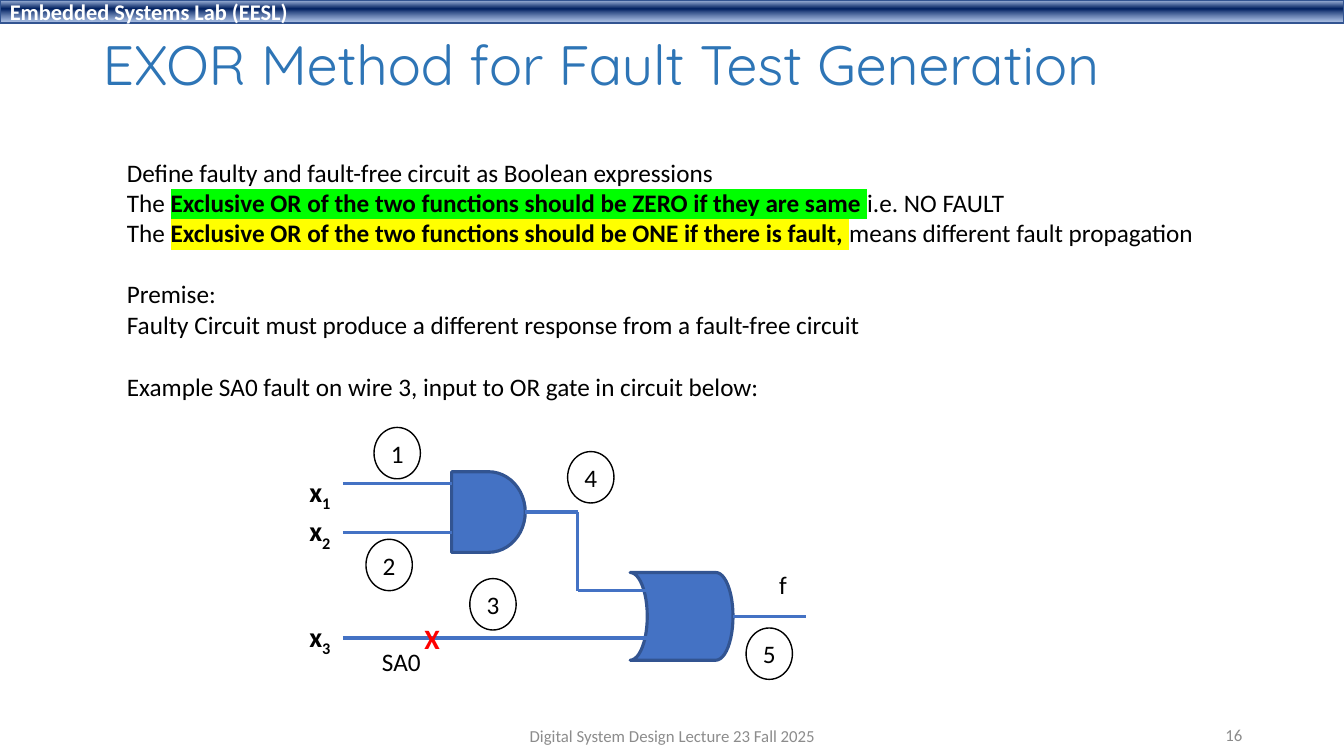
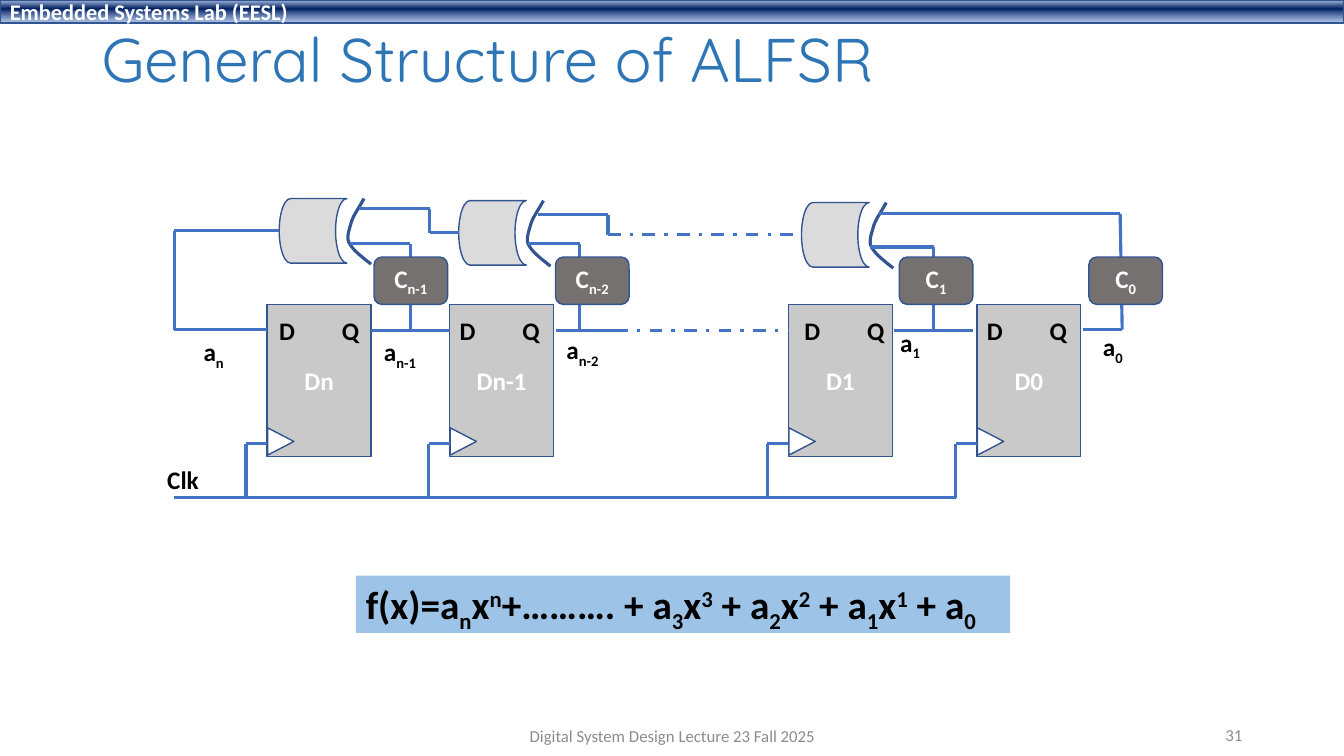
from dataclasses import dataclass

from lxml.etree import SubElement
from pptx import Presentation
from pptx.dml.color import RGBColor
from pptx.enum.dml import MSO_LINE
from pptx.enum.shapes import MSO_CONNECTOR, MSO_SHAPE
from pptx.enum.text import MSO_ANCHOR, PP_ALIGN
from pptx.oxml.ns import qn
from pptx.util import Inches, Pt

COLORS = {
    "title": "2E75B6", "text": "000000", "white": "FFFFFF", "footer": "8C8C8C",
    "wire": "4472C4", "edge": "325491", "gate": "4472C4", "xor": "DBDBDB",
    "flipflop": "C9C9C9", "coefficient": "767171", "formula": "9DC3E6",
    "fault": "FF0000", "same": "00FF00", "different": "FFFF00",
}
BAND_STOPS = [(2, "ABC0E4", 100), (38, "002060", 100), (93, "7E9ED6", 64)]
BODY_FONT, TITLE_FONT = "Calibri", "Quicksand"
SUBSCRIPT, SUPERSCRIPT = -25, 30
LEFT, CENTER, RIGHT = PP_ALIGN.LEFT, PP_ALIGN.CENTER, PP_ALIGN.RIGHT

# Bezier segments of an XOR gate's input arc, measured from the gate's corner
ARC_START = (0.84, 0)
ARC_SEGMENTS = [
    ((0.78, 0.11), (0.73, 0.17), (0.71, 0.25)),
    ((0.69, 0.32), (0.66, 0.40), (0.70, 0.45)),
    ((0.73, 0.51), (0.82, 0.58), (0.91, 0.65)),
]


@dataclass
class Run:
    text: str
    base: int = 0
    bold: bool = False
    highlight: str = ""


def color(name):
    return RGBColor.from_string(COLORS[name])


def indexed(letter, index):
    return [Run(letter), Run(index, SUBSCRIPT)]


def add_run(paragraph, run, size, ink, bold, font):
    part = paragraph.add_run()
    part.text = run.text
    part.font.size = Pt(size)
    part.font.name = font
    part.font.bold = bold or run.bold
    part.font.color.rgb = color(ink)
    properties = part.font._element
    if run.base:
        properties.set("baseline", str(run.base * 1000))
    if run.highlight:
        marker = SubElement(properties, qn("a:highlight"))
        SubElement(marker, qn("a:srgbClr"), val=COLORS[run.highlight])
        properties.find(qn("a:solidFill")).addnext(marker)


def write(shape, paragraphs, size=18, ink="text", bold=False, align=LEFT,
          anchor=MSO_ANCHOR.TOP, font=BODY_FONT, wrap=True):
    """Fill a shape with paragraphs, each a list of runs."""
    frame = shape.text_frame
    frame.word_wrap = wrap
    frame.vertical_anchor = anchor
    for number, runs in enumerate(paragraphs):
        paragraph = frame.add_paragraph() if number else frame.paragraphs[0]
        paragraph.alignment = align
        for run in runs:
            add_run(paragraph, run, size, ink, bold, font)
    return frame


def add_text(slide, box, paragraphs, **style):
    area = slide.shapes.add_textbox(*map(Inches, box))
    return write(area, paragraphs, **style)


def add_label(slide, box, runs, **style):
    add_text(slide, box, [runs], wrap=False, **style)


def add_box(slide, kind, box, fill=None, edge="edge", width=1):
    shape = slide.shapes.add_shape(kind, *map(Inches, box))
    shape.shadow.inherit = False
    if fill:
        shape.fill.solid()
        shape.fill.fore_color.rgb = color(fill)
    else:
        shape.fill.background()
    if edge:
        shape.line.color.rgb = color(edge)
        shape.line.width = Pt(width)
    else:
        shape.line.fill.background()
    return shape


def add_wire(slide, *points, dashed=False):
    """Join successive points with straight connectors and return them."""
    segments = []
    for start, end in zip(points, points[1:]):
        segment = slide.shapes.add_connector(
            MSO_CONNECTOR.STRAIGHT, *map(Inches, start + end))
        segment.line.color.rgb = color("wire")
        segment.line.width = Pt(2.25)
        if dashed:
            segment.line.dash_style = MSO_LINE.DASH_DOT
        SubElement(segment._element.spPr, qn("a:effectLst"))
        segments.append(segment)
    return segments


def add_band(slide):
    band = add_box(slide, MSO_SHAPE.RECTANGLE, (0, 0, 13.33, 0.23))
    band.fill.gradient()
    band.fill.gradient_angle = 270
    stops = band._element.spPr.find(qn("a:gradFill")).find(qn("a:gsLst"))
    for stop in list(stops):
        stops.remove(stop)
    for position, tint, opacity in BAND_STOPS:
        stop = SubElement(stops, qn("a:gs"), pos=str(position * 1000))
        shade = SubElement(stop, qn("a:srgbClr"), val=tint)
        if opacity < 100:
            SubElement(shade, qn("a:alpha"), val=str(opacity * 1000))
    write(band, [[Run("Embedded Systems Lab (EESL)")]], size=16, ink="white",
          bold=True, anchor=MSO_ANCHOR.MIDDLE)


def add_framed_slide(deck, title, title_box, title_size, number):
    """Add a slide with the band, title, footer and page number."""
    slide = deck.slides.add_slide(deck.slide_layouts[6])
    add_band(slide)
    heading = add_text(slide, title_box, [[Run(title)]], size=title_size,
                       ink="title", font=TITLE_FONT, anchor=MSO_ANCHOR.MIDDLE)
    heading.paragraphs[0].line_spacing = 0.9
    footers = [
        ((4.42, 7.1, 4.5, 0.4), "Digital System Design Lecture 23 Fall 2025", CENTER),
        ((9.42, 7.09, 3, 0.4), number, RIGHT),
    ]
    for box, words, align in footers:
        add_text(slide, box, [[Run(words)]], size=12, ink="footer",
                 align=align, anchor=MSO_ANCHOR.MIDDLE)
    return slide


def add_wire_number(slide, number, x, y):
    circle = add_box(slide, MSO_SHAPE.OVAL, (x, y, 0.46, 0.51), edge="text")
    write(circle, [[Run(number)]], align=CENTER, anchor=MSO_ANCHOR.MIDDLE,
          wrap=False)


def add_gate_circuit(slide):
    and_gate = add_box(slide, MSO_SHAPE.FLOWCHART_DELAY,
                       (4.48, 4.68, 0.73, 0.8), "gate", width=2.25)
    or_gate = add_box(slide, MSO_SHAPE.FLOWCHART_STORED_DATA,
                      (6.25, 5.68, 1.02, 0.87), "gate", width=2.25)
    or_gate._element.spPr.find(qn("a:xfrm")).set("flipH", "1")

    for y, end in [(4.8, 4.48), (5.28, 4.48), (6.33, 6.45)]:
        add_wire(slide, (3.4, y), (end, y))
    and_output = add_wire(slide, (5.21, 5.08), (5.73, 5.08), (5.73, 5.86),
                          (6.45, 5.86))
    and_output[0].begin_connect(and_gate, 3)
    add_wire(slide, (7.27, 6.12), (7.99, 6.12))

    for index, y in [("1", 4.66), ("2", 5.05), ("3", 6.1)]:
        add_label(slide, (2.97, y, 0.43, 0.4), indexed("x", index),
                  size=20, bold=True)
    for number, x, y in [("1", 3.71, 4.24), ("2", 3.63, 5.35), ("3", 4.66, 5.74),
                         ("4", 5.63, 4.48), ("5", 7.4, 6.23)]:
        add_wire_number(slide, number, x, y)
    add_label(slide, (4.11, 6.12, 0.37, 0.49), [Run("X")], size=20,
              ink="fault", bold=True)
    add_label(slide, (3.69, 6.36, 0.61, 0.45), [Run("SA0")])
    add_label(slide, (7.63, 5.6, 0.29, 0.45), [Run("f")])


def build_exor_slide(deck):
    slide = add_framed_slide(deck, "EXOR Method for Fault Test Generation",
                             (0.92, 0.29, 11.5, 0.77), 39.6, "16")
    same = "Exclusive OR of the two functions should be ZERO if they are same "
    different = "Exclusive OR of the two functions should be ONE if there is fault, "
    method = add_text(slide, (1.16, 1.51, 10.88, 1.92), [
        [Run("Define faulty and fault-free circuit as Boolean expressions")],
        [Run("The "), Run(same, bold=True, highlight="same"),
         Run("i.e. NO FAULT")],
        [Run("The "), Run(different, bold=True, highlight="different"),
         Run("means different fault propagation")],
        [Run("Premise:")],
        [Run("Faulty Circuit must produce a different response from a "
             "fault-free circuit")],
    ])
    method.paragraphs[3].space_before = Pt(22)
    add_text(slide, (1.16, 3.63, 6.55, 0.4), [
        [Run("Example SA0 fault on wire 3, input to OR gate in circuit below:")]])
    add_gate_circuit(slide)


def add_flipflop(slide, name, x, pins_x, bus_y):
    block = add_box(slide, MSO_SHAPE.RECTANGLE, (x, 3.02, 1.03, 1.51), "flipflop")
    write(block, [[Run(name)]], ink="white", bold=True, align=CENTER,
          anchor=MSO_ANCHOR.MIDDLE)
    clock_pin = add_box(slide, MSO_SHAPE.ISOSCELES_TRIANGLE,
                        (x, 4.25, 0.27, 0.26), "white")
    clock_pin.rotation = 90
    add_wire(slide, (x, 4.4), (x - 0.21, 4.4), (x - 0.21, bus_y))
    for pin, align in [("D", LEFT), ("Q", RIGHT)]:
        add_text(slide, (pins_x, 3.08, 0.99, 0.4), [[Run(pin)]], bold=True,
                 align=align)


def bezier(start, control1, control2, end, steps=8):
    """Return points along a cubic curve, without its start."""
    points = []
    for step in range(1, steps + 1):
        t = step / steps
        weights = ((1 - t) ** 3, 3 * t * (1 - t) ** 2, 3 * t * t * (1 - t), t ** 3)
        points.append(tuple(
            sum(weight * value for weight, value in zip(weights, axis))
            for axis in zip(start, control1, control2, end)))
    return points


def add_xor_gate(slide, x, y):
    body = add_box(slide, MSO_SHAPE.FLOWCHART_STORED_DATA, (x, y, 0.67, 0.64), "xor")
    curve = [ARC_START]
    for segment in ARC_SEGMENTS:
        curve += bezier(curve[-1], *segment)
    placed = [(Inches(x + dx), Inches(y + dy)) for dx, dy in curve]
    builder = slide.shapes.build_freeform(*placed[0])
    builder.add_line_segments(placed[1:], close=False)
    arc = builder.convert_to_shape()
    arc.shadow.inherit = False
    arc.fill.background()
    arc.line.color.rgb = color("edge")
    arc.line.width = Pt(2.25)
    return body


def add_coefficient(slide, index, x):
    block = add_box(slide, MSO_SHAPE.ROUNDED_RECTANGLE, (x, 2.55, 0.73, 0.47),
                    "coefficient")
    write(block, [indexed("C", index)], ink="white", bold=True, align=CENTER,
          anchor=MSO_ANCHOR.MIDDLE)


def add_shift_register(slide):
    bus_y = 4.94
    for name, x, pins_x in [("Dn", 2.65, 2.67), ("Dn-1", 4.46, 4.46),
                            ("D1", 7.82, 7.88), ("D0", 9.69, 9.69)]:
        add_flipflop(slide, name, x, pins_x, bus_y)
    add_wire(slide, (9.48, bus_y), (1.73, bus_y))
    add_label(slide, (1.56, 4.56, 0.52, 0.4), [Run("Clk")], bold=True)

    for start, end in [(3.68, 4.46), (5.51, 6.1), (8.87, 9.65)]:
        add_wire(slide, (start, 3.28), (end, 3.28))
    add_wire(slide, (6.1, 3.28), (7.82, 3.28), dashed=True)

    xor_n, xor_n1, xor_1 = [
        add_xor_gate(slide, x, y)
        for x, y in [(2.77, 1.97), (4.55, 1.99), (7.95, 2.01)]]
    feedback = add_wire(slide, (2.77, 2.29), (1.73, 2.29), (1.73, 3.27), (2.65, 3.27))
    feedback[0].begin_connect(xor_n, 1)
    link = add_wire(slide, (4.55, 2.31), (4.26, 2.31), (4.26, 2.07), (3.56, 2.07))
    link[0].begin_connect(xor_n1, 1)
    add_wire(slide, (6.03, 2.33), (6.03, 2.13), (5.34, 2.13))
    skipped = add_wire(slide, (6.03, 2.33), (7.95, 2.33), dashed=True)
    skipped[0].end_connect(xor_1, 1)
    for tap_x, gate_x, y in [(4.07, 3.47, 2.42), (5.75, 5.24, 2.42),
                             (9.26, 8.63, 2.45)]:
        add_wire(slide, (tap_x, 3.28), (tap_x, y), (gate_x, y))
    add_wire(slide, (10.74, 3.27), (11.13, 3.27), (11.11, 2.12), (8.72, 2.12))

    for index, x in [("n-1", 3.71), ("n-2", 5.51), ("1", 8.92), ("0", 10.8)]:
        add_coefficient(slide, index, x)
    for index, x, y, width in [("n", 1.92, 3.29, 0.42), ("n-1", 3.71, 3.29, 0.55),
                               ("n-2", 5.52, 3.27, 0.55), ("1", 8.83, 3.2, 0.41),
                               ("0", 10.84, 3.24, 0.41)]:
        add_label(slide, (x, y, width, 0.4), indexed("a", index), bold=True)


def build_alfsr_slide(deck):
    slide = add_framed_slide(deck, "General Structure of ALFSR",
                             (0.91, 0.21, 9.89, 0.83), 44, "31")
    add_shift_register(slide)
    formula = [Run("f(x)=")]
    for power, joint in [("n", "+………. + "), ("3", " + "), ("2", " + "), ("1", " + ")]:
        formula += indexed("a", power)
        formula += [Run("x"), Run(power, SUPERSCRIPT), Run(joint)]
    formula += indexed("a", "0")
    panel = add_box(slide, MSO_SHAPE.RECTANGLE, (3.53, 5.71, 6.49, 0.57),
                    "formula", edge=None)
    write(panel, [formula], size=28, bold=True)


def main():
    deck = Presentation()
    deck.slide_width, deck.slide_height = Inches(13.33), Inches(7.5)
    build_exor_slide(deck)
    build_alfsr_slide(deck)
    deck.save("out.pptx")


if __name__ == "__main__":
    main()
